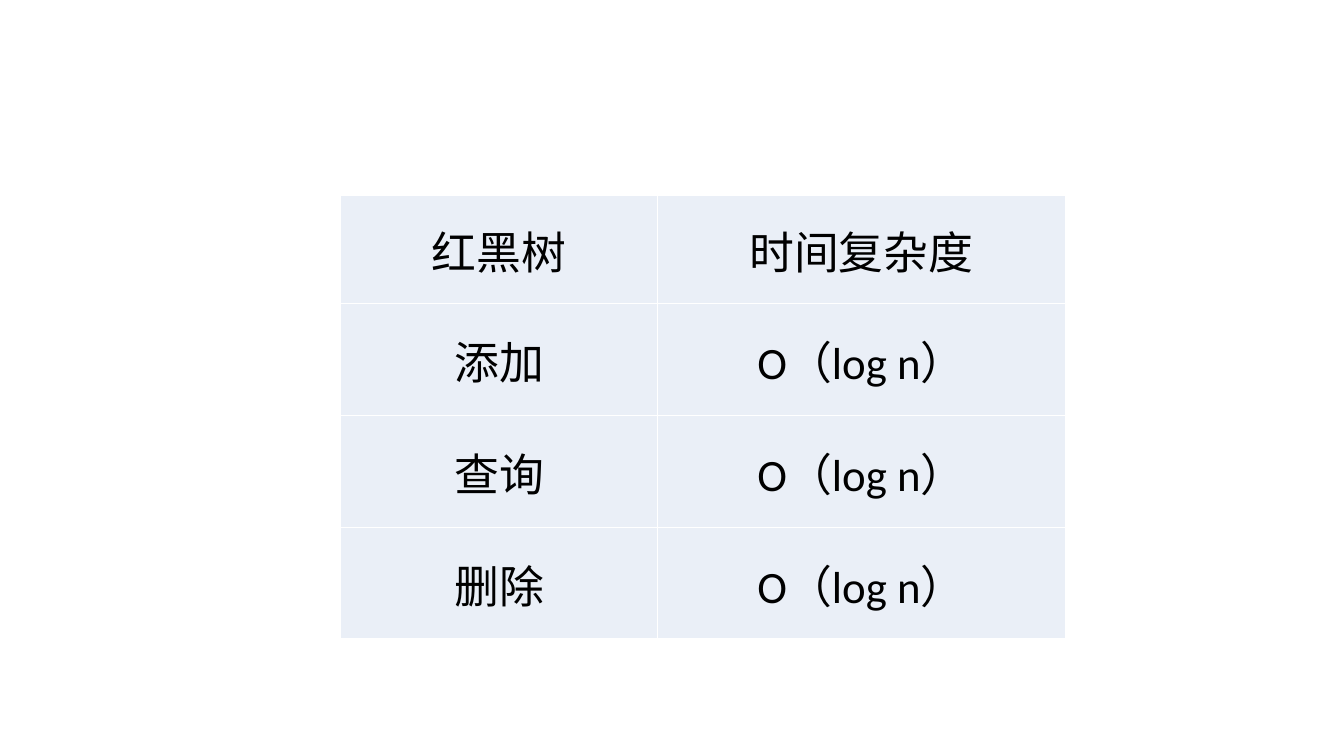
from dataclasses import dataclass

from lxml import etree
from pptx import Presentation
from pptx.dml.color import RGBColor
from pptx.enum import lang, text
from pptx.oxml import ns
from pptx.util import Inches, Pt


@dataclass(frozen=True)
class Theme:
    font: str = "Calibri"
    size: int = 32
    ink: str = "000000"
    cell: str = "EAEFF7"
    border: str = "FFFFFF"
    border_width: int = 1


THEME = Theme()
LOG_TIME = "O（log n）"
ROWS = [
    ("红黑树", "时间复杂度"),
    ("添加", LOG_TIME),
    ("查询", LOG_TIME),
    ("删除", LOG_TIME),
]
COL_WIDTHS = (3.14, 4.05)
ROW_HEIGHTS = (1.07, 1.11, 1.11, 1.11)
CELL_FORMAT = {
    "vertical_anchor": text.MSO_ANCHOR.MIDDLE,
    "margin_left": Inches(0.01),
    "margin_right": Inches(0.01),
    "margin_top": Inches(0.01),
    "margin_bottom": 0,
}
FONT_FORMAT = {
    "name": THEME.font,
    "size": Pt(THEME.size),
    "bold": False,
    "language_id": lang.MSO_LANGUAGE_ID.SIMPLIFIED_CHINESE,
}


def apply_format(target, values):
    for name, value in values.items():
        setattr(target, name, value)


def add_borders(cell):
    tc_pr = cell._tc.get_or_add_tcPr()
    for side in ("lnL", "lnR", "lnT", "lnB"):
        ln = etree.SubElement(tc_pr, ns.qn(f"a:{side}"), w=str(Pt(THEME.border_width)))
        fill = etree.SubElement(ln, ns.qn("a:solidFill"))
        etree.SubElement(fill, ns.qn("a:srgbClr"), val=THEME.border)


def fill_cell(cell, content):
    apply_format(cell, CELL_FORMAT)
    add_borders(cell)
    cell.fill.solid()
    cell.fill.fore_color.rgb = RGBColor.from_string(THEME.cell)
    p = cell.text_frame.paragraphs[0]
    p.alignment = text.PP_ALIGN.CENTER
    r = p.add_run()
    r.text = content
    apply_format(r.font, FONT_FORMAT)
    r.font.color.rgb = RGBColor.from_string(THEME.ink)


def add_complexity_table(slide, left, top):
    frame = slide.shapes.add_table(
        len(ROWS), len(COL_WIDTHS), Inches(left), Inches(top),
        Inches(sum(COL_WIDTHS)), Inches(sum(ROW_HEIGHTS)))
    table = frame.table
    for column, width in zip(table.columns, COL_WIDTHS):
        column.width = Inches(width)
    for row, height, contents in zip(table.rows, ROW_HEIGHTS, ROWS):
        row.height = Inches(height)
        for cell, content in zip(row.cells, contents):
            fill_cell(cell, content)


def main():
    prs = Presentation()
    prs.slide_width = Inches(13.33)
    prs.slide_height = Inches(7.5)
    slide = prs.slides.add_slide(prs.slide_layouts[6])
    add_complexity_table(slide, 3.38, 1.94)
    prs.save("out.pptx")


if __name__ == "__main__":
    main()
